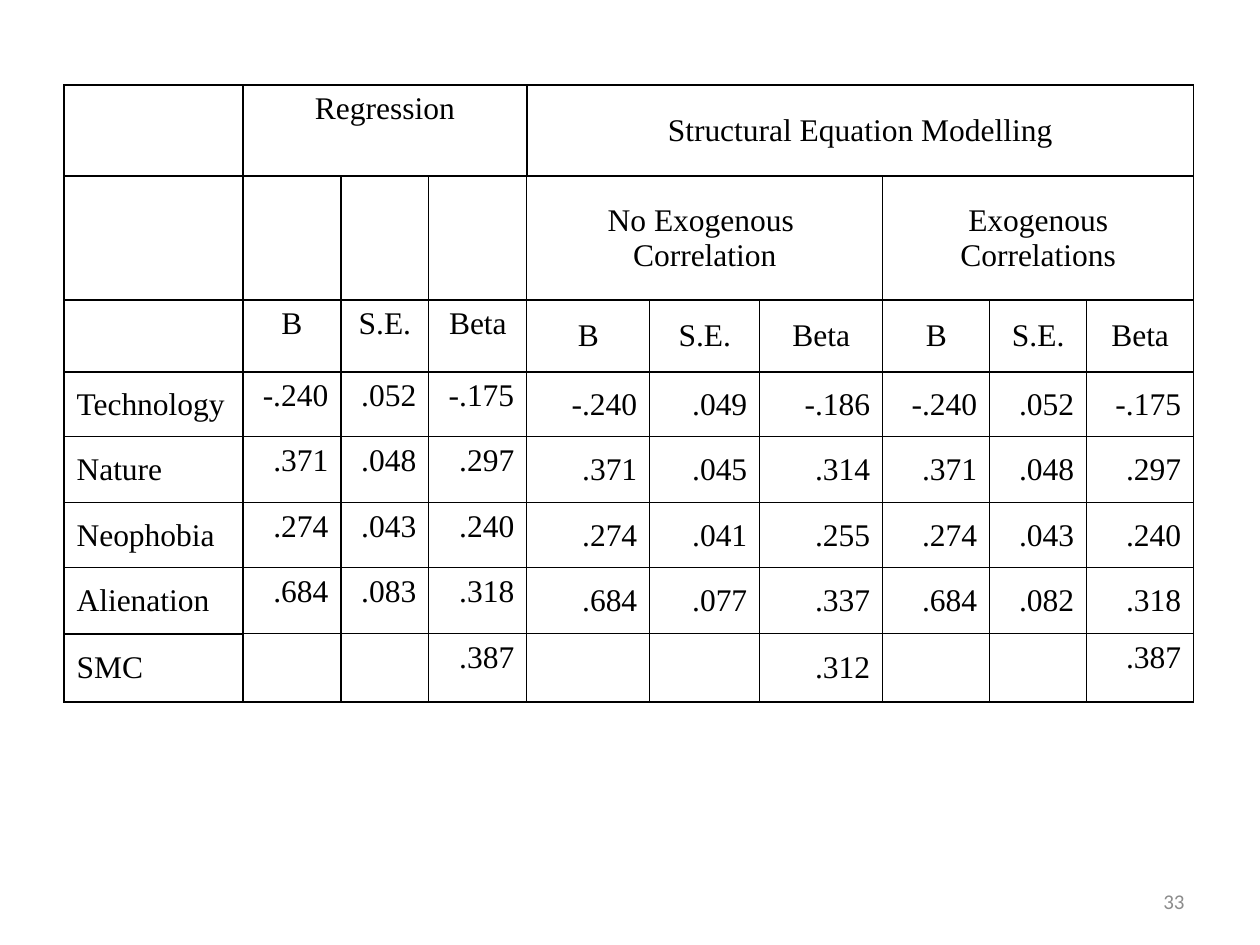
"""Build a slide with a table comparing regression and structural equation results."""
from lxml import etree
from pptx import Presentation
from pptx import util as u
from pptx.dml.color import RGBColor
from pptx.enum import text
from pptx.oxml.ns import qn

SCALE = 914400 / 126
INDENT = 342900
ALIGN = text.PP_ALIGN


def px(n):
    """Turn pixels into EMU."""
    return u.Emu(round(n * SCALE))


def draw_border(cell, side, points, color="000000"):
    """Add one solid border to a table cell."""
    ln = etree.SubElement(cell._tc.get_or_add_tcPr(), qn(f"a:ln{side}"), w=str(u.Pt(points)))
    fill = etree.SubElement(ln, qn("a:solidFill"))
    etree.SubElement(fill, qn("a:srgbClr"), val=color)


prs = Presentation()
prs.slide_width, prs.slide_height = px(1260), px(945)
s = prs.slides.add_slide(prs.slide_layouts[6])

col_widths = [179, 98, 88, 98, 123, 110, 123, 107, 97, 107]
row_heights = [91, 124, 72, 65, 66, 65, 66, 68]
spans = [(0, 1, 3), (0, 4, 9), (1, 4, 6), (1, 7, 9)]
rows = [
    ["", "Regression", "", "", "Structural Equation Modelling", "", "", "", "", ""],
    ["", "", "", "", "No Exogenous \nCorrelation", "", "", "Exogenous\nCorrelations", "", ""],
    [""] + ["B", "S.E.", "Beta"] * 3,
    ["Technology", "-.240", ".052", "-.175", "-.240", ".049", "-.186", "-.240", ".052", "-.175"],
    ["Nature", ".371", ".048", ".297", ".371", ".045", ".314", ".371", ".048", ".297"],
    ["Neophobia", ".274", ".043", ".240", ".274", ".041", ".255", ".274", ".043", ".240"],
    ["Alienation", ".684", ".083", ".318", ".684", ".077", ".337", ".684", ".082", ".318"],
    ["SMC", "", "", ".387", "", "", ".312", "", "", ".387"],
]
last_row, last_col = len(rows) - 1, len(col_widths) - 1

frame = s.shapes.add_table(len(rows), len(col_widths), px(64), px(85),
                           px(sum(col_widths)), px(sum(row_heights)))
table = frame.table
table.first_row = table.horz_banding = False
for column, width in zip(table.columns, col_widths):
    column.width = px(width)
for row, height in zip(table.rows, row_heights):
    row.height = px(height)
for r, first, last in spans:
    table.cell(r, first).merge(table.cell(r, last))

for r, values in enumerate(rows):
    for c, value in enumerate(values):
        cell = table.cell(r, c)
        end = c + cell.span_width if cell.is_merge_origin else c + 1
        inner = c < last_col and table.cell(r, c + 1).is_spanned
        for side, edge in (("L", c), ("R", end), ("T", r), ("B", r + 1)):
            if cell.is_spanned and (side == "L" or side == "R" and inner):
                continue
            if side in "LR":
                heavy = r == 0 or edge in (0, 1, last_col + 1)
            else:
                heavy = edge <= 3 or edge == last_row + 1 or (c == 0 and edge == last_row)
            draw_border(cell, side, 1 if heavy else 0.75)
        cell.fill.background()
        if cell.is_spanned:
            continue
        top = 1 <= c <= 3 or (r, c) == (last_row, last_col)
        cell.vertical_anchor = text.MSO_ANCHOR.TOP if top else text.MSO_ANCHOR.MIDDLE
        cell.text = value
        for p in cell.text_frame.paragraphs:
            p.alignment = ALIGN.CENTER if r < 3 else ALIGN.RIGHT if c else ALIGN.LEFT
            p.font.name = "Times New Roman"
            p.font.size = u.Pt(18)
            p.font.color.rgb = RGBColor.from_string("000000")
            pPr = p._p.get_or_add_pPr()
            pPr.set("marL", str(INDENT))
            pPr.set("indent", str(-INDENT))

sp = s.shapes.add_textbox(px(903), px(876), px(294), px(50))
tf = sp.text_frame
tf.word_wrap = True
tf.vertical_anchor = text.MSO_ANCHOR.MIDDLE
p = tf.paragraphs[0]
p.text = "33"
p.alignment = ALIGN.RIGHT
p.font.name = "Calibri"
p.font.size = u.Pt(12)
p.font.color.rgb = RGBColor.from_string("8C8C8C")

prs.save("out.pptx")
